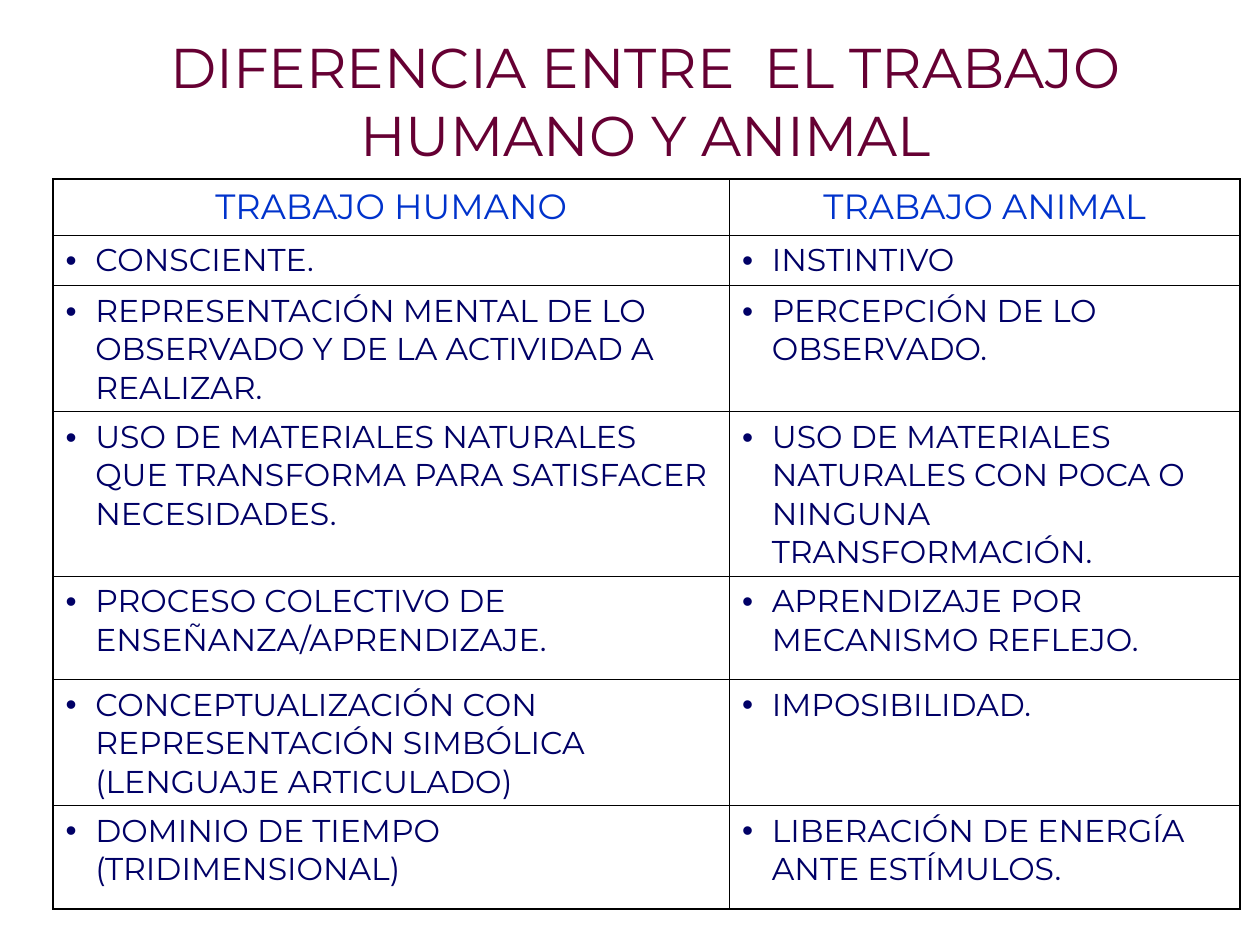
from lxml import etree
from pptx import Presentation
from pptx.dml.color import RGBColor
from pptx.enum import text as t
from pptx.oxml import ns
from pptx.util import Pt

FONT = "Montserrat"
HUES = {"title": "660033", "head": "0033CC", "body": "000066", "line": "000000"}
THIN, THICK = 0.45, 1.08
COLS = [386.64, 291.6]
TALL = [32, 29, 72, 94, 59, 72, 59]
ROWS = [
    ("TRABAJO HUMANO", "TRABAJO ANIMAL"),
    ("CONSCIENTE.", "INSTINTIVO"),
    ("REPRESENTACIÓN MENTAL DE LO OBSERVADO Y DE LA ACTIVIDAD A REALIZAR.",
     "PERCEPCIÓN DE LO OBSERVADO."),
    ("USO DE MATERIALES NATURALES QUE TRANSFORMA PARA SATISFACER NECESIDADES.",
     "USO DE MATERIALES NATURALES CON POCA O NINGUNA TRANSFORMACIÓN."),
    ("PROCESO COLECTIVO DE ENSEÑANZA/APRENDIZAJE.",
     "APRENDIZAJE POR MECANISMO REFLEJO."),
    ("CONCEPTUALIZACIÓN CON REPRESENTACIÓN SIMBÓLICA (LENGUAJE ARTICULADO)",
     "IMPOSIBILIDAD."),
    ("DOMINIO DE TIEMPO (TRIDIMENSIONAL)",
     "LIBERACIÓN DE ENERGÍA ANTE ESTÍMULOS."),
]


def add_node(root, tag, **attrs):
    return etree.SubElement(root, ns.qn(tag), **attrs)


def add_bullet(para, hue):
    props = para._p.get_or_add_pPr()
    props.set("marL", str(Pt(17)))
    props.set("indent", str(-Pt(17)))
    add_node(add_node(props, "a:buClr"), "a:srgbClr", val=HUES[hue])
    add_node(props, "a:buFont", typeface="Arial")
    add_node(props, "a:buChar", char="•")


def write(frame, words, size, hue, center=False, bullet=False):
    para = frame.paragraphs[0]
    para.alignment = t.PP_ALIGN.CENTER if center else t.PP_ALIGN.LEFT
    if bullet:
        add_bullet(para, hue)
    run = para.add_run()
    run.text = words
    run.font.name = FONT
    run.font.size = Pt(size)
    run.font.color.rgb = RGBColor.from_string(HUES[hue])


def add_title(slide, words):
    box = slide.shapes.add_textbox(Pt(72), Pt(12.24), Pt(594), Pt(90))
    frame = box.text_frame
    frame.word_wrap = True
    frame.vertical_anchor = t.MSO_ANCHOR.MIDDLE
    write(frame, words, 32, "title", center=True)


def set_edges(cell, widths):
    props = cell._tc.get_or_add_tcPr()
    for spot, (side, width) in enumerate(widths.items()):
        line = etree.Element(ns.qn("a:ln" + side), w=str(Pt(width)))
        add_node(add_node(line, "a:solidFill"), "a:srgbClr", val=HUES["line"])
        props.insert(spot, line)


def add_grid(slide):
    frame = slide.shapes.add_table(len(ROWS), len(COLS), Pt(30.24), Pt(102.24),
                                   Pt(sum(COLS)), Pt(sum(TALL)))
    grid = frame.table
    grid.first_row = grid.horz_banding = False
    for col, width in zip(grid.columns, COLS):
        col.width = Pt(width)

    last, end = len(ROWS) - 1, len(COLS) - 1
    for r, (pair, height) in enumerate(zip(ROWS, TALL)):
        grid.rows[r].height = Pt(height)
        for c, words in enumerate(pair):
            cell = grid.cell(r, c)
            cell.fill.background()
            # Thick outer frame, thin inner rules
            outer = {"L": c == 0, "R": c == end, "T": r == 0, "B": r == last}
            set_edges(cell, {side: THICK if out else THIN
                             for side, out in outer.items()})
            if r == 0:
                write(cell.text_frame, words, 20, "head", center=True)
            else:
                write(cell.text_frame, words, 18, "body", bullet=True)


def main():
    deck = Presentation()
    deck.slide_width, deck.slide_height = Pt(720), Pt(540)
    slide = deck.slides.add_slide(deck.slide_layouts[6])
    add_title(slide, "DIFERENCIA ENTRE  EL TRABAJO HUMANO Y ANIMAL")
    add_grid(slide)
    deck.save("out.pptx")


if __name__ == "__main__":
    main()
